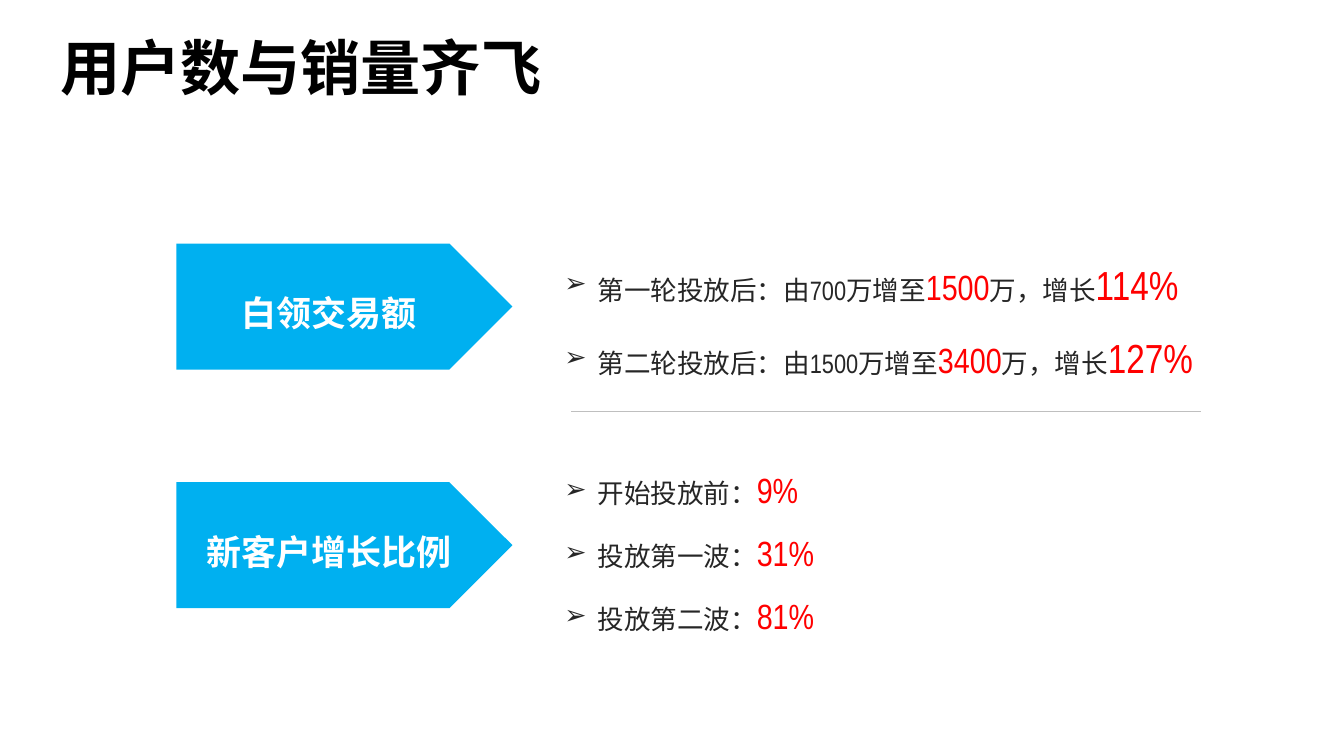
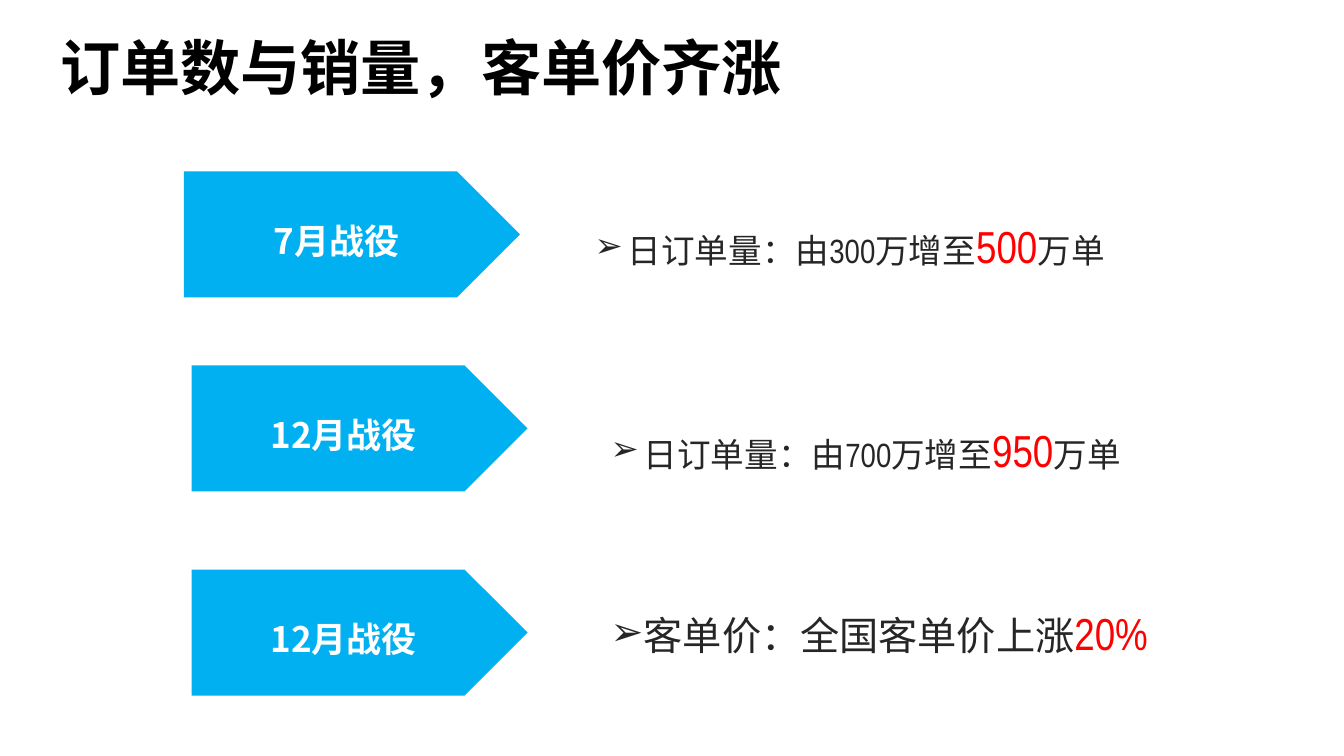
import dataclasses

import lxml.etree
import pptx
import pptx.dml.color
import pptx.enum.shapes
import pptx.enum.text
import pptx.oxml.ns
import pptx.util

COLUMNS, ROWS = 160, 90
CELL = pptx.util.Inches(1) / 12


@dataclasses.dataclass(frozen=True)
class Theme:
    cjk: str = "Noto Sans CJK SC"
    narrow: str = "Arial Narrow"
    title: str = "000000"
    body: str = "262626"
    accent: str = "FF0000"
    banner: str = "00B0F0"
    on_banner: str = "FFFFFF"
    rule: str = "BFBFBF"
    title_size: int = 43
    banner_size: int = 25
    detail_size: int = 19
    figure_size: int = 25
    growth_size: int = 29
    order_size: int = 24
    price_size: int = 28
    order_figure_size: int = 32


THEME = Theme()


def cells(*counts):
    return [pptx.util.Emu(round(count * CELL)) for count in counts]


def rgb(value):
    return pptx.dml.color.RGBColor.from_string(value)


def add_child(parent, tag, **attributes):
    child = lxml.etree.SubElement(parent, pptx.oxml.ns.qn(tag))
    for key, value in attributes.items():
        child.set(key, value)
    return child


def write(paragraph, text, *, size, color=THEME.body, latin=THEME.cjk, bold=False):
    run = paragraph.add_run()
    run.text = text
    run.font.size = pptx.util.Pt(size)
    run.font.bold = bold
    run.font.color.rgb = rgb(color)
    run.font.name = latin
    add_child(run.font._element, "a:ea", typeface=THEME.cjk)


def plain(text, size):
    return text, dict(size=size)


def number(text, size):
    return text, dict(size=size, latin=THEME.narrow)


def highlight(text, size):
    return text, dict(size=size, latin=THEME.narrow, color=THEME.accent)


class Deck:
    def __init__(self, theme):
        self.theme = theme
        self.presentation = pptx.Presentation()
        width, height = cells(COLUMNS, ROWS)
        self.presentation.slide_width = width
        self.presentation.slide_height = height
        self.slide = None

    def frame(self, shape, margin_x, margin_y, anchor):
        frame = shape.text_frame
        frame.word_wrap = True
        frame.margin_left = frame.margin_right = pptx.util.Inches(margin_x)
        frame.margin_top = frame.margin_bottom = pptx.util.Inches(margin_y)
        frame.vertical_anchor = anchor
        return frame

    def new_slide(self, heading):
        layout = self.presentation.slide_layouts.get_by_name("Title Only")
        self.slide = self.presentation.slides.add_slide(layout)
        title = self.slide.shapes.title
        title.left, title.top, title.width, title.height = cells(5.6, 3.7, 136, 15)
        frame = self.frame(title, 0.13, 0.07, pptx.enum.text.MSO_ANCHOR.TOP)
        frame.auto_size = pptx.enum.text.MSO_AUTO_SIZE.NONE
        paragraph = frame.paragraphs[0]
        paragraph.alignment = pptx.enum.text.PP_ALIGN.LEFT
        paragraph.line_spacing = 0.9
        write(paragraph, heading, size=self.theme.title_size,
              color=self.theme.title, bold=True)

    def banner(self, label, column, row):
        banner = self.slide.shapes.add_shape(
            pptx.enum.shapes.MSO_SHAPE.PENTAGON, *cells(column, row, 40, 15))
        banner.shadow.inherit = False
        banner.fill.solid()
        banner.fill.fore_color.rgb = rgb(self.theme.banner)
        banner.line.fill.background()
        frame = self.frame(banner, 0.11, 0.05, pptx.enum.text.MSO_ANCHOR.MIDDLE)
        paragraph = frame.paragraphs[0]
        paragraph.alignment = pptx.enum.text.PP_ALIGN.CENTER
        paragraph.line_spacing = 1.3
        write(paragraph, label, size=self.theme.banner_size,
              color=self.theme.on_banner, bold=True)

    def bullets(self, items, column, row, width, height, spacing=1.5, gap=0):
        box = self.slide.shapes.add_textbox(*cells(column, row, width, height))
        frame = self.frame(box, 0.1, 0.05, pptx.enum.text.MSO_ANCHOR.TOP)
        frame.auto_size = pptx.enum.text.MSO_AUTO_SIZE.SHAPE_TO_FIT_TEXT
        for index, item in enumerate(items):
            paragraph = frame.add_paragraph() if index else frame.paragraphs[0]
            properties = paragraph._p.get_or_add_pPr()
            indent = pptx.util.Inches(0.33)
            properties.set("marL", str(indent))
            properties.set("indent", str(-indent))
            add_child(properties, "a:buFont", typeface="Arial")
            add_child(properties, "a:buChar", char="➢")
            paragraph.line_spacing = spacing
            if index and gap:
                paragraph.space_before = pptx.util.Pt(gap)
            for text, style in item:
                write(paragraph, text, **style)

    def rule(self, start, end, row):
        rule = self.slide.shapes.add_connector(
            pptx.enum.shapes.MSO_CONNECTOR.STRAIGHT, *cells(start, row, end, row))
        rule.line.color.rgb = rgb(self.theme.rule)
        rule.line.width = pptx.util.Pt(1)
        add_child(rule._element.spPr, "a:effectLst")


def sales_item(campaign, before, after, growth):
    size = THEME.detail_size
    return [plain(f"{campaign}投放后：由", size), number(before, size),
            plain("万增至", size), highlight(after, THEME.figure_size),
            plain("万，增长", size), highlight(growth, THEME.growth_size)]


def share_item(stage, share):
    return [plain(f"{stage}：", THEME.detail_size),
            highlight(share, THEME.figure_size)]


def order_item(before, after):
    size = THEME.order_size
    return [plain("日订单量：由", size), number(before, size),
            plain("万增至", size), highlight(after, THEME.order_figure_size),
            plain("万单", size)]


def users_and_sales(deck):
    deck.new_slide("用户数与销量齐飞")
    deck.bullets([sales_item("第一轮", "700", "1500", "114%"),
                  sales_item("第二轮", "1500", "3400", "127%")],
                 66, 27.4, 85, 18.7)
    deck.rule(68, 143, 49)
    deck.banner("白领交易额", 21, 29)
    deck.banner("新客户增长比例", 21, 57.4)
    deck.bullets([share_item("开始投放前", "9%"),
                  share_item("投放第一波", "31%"),
                  share_item("投放第二波", "81%")],
                 66, 52.7, 59, 23.9)


def orders_and_prices(deck):
    deck.new_slide("订单数与销量，客单价齐涨")
    deck.bullets([order_item("300", "500")], 69.6, 22.3, 85, 9.6)
    for label, column, row in [("7月战役", 21.9, 20.4),
                               ("12月战役", 22.8, 43.5),
                               ("12月战役", 22.8, 67.8)]:
        deck.banner(label, column, row)
    price_item = [plain("客单价：全国客单价上涨", THEME.price_size),
                  highlight("20%", THEME.order_figure_size)]
    deck.bullets([order_item("700", "950"), price_item],
                 71.5, 43.3, 76, 44.4, spacing=2, gap=54)


def main():
    deck = Deck(THEME)
    users_and_sales(deck)
    orders_and_prices(deck)
    deck.presentation.save("out.pptx")


if __name__ == "__main__":
    main()
